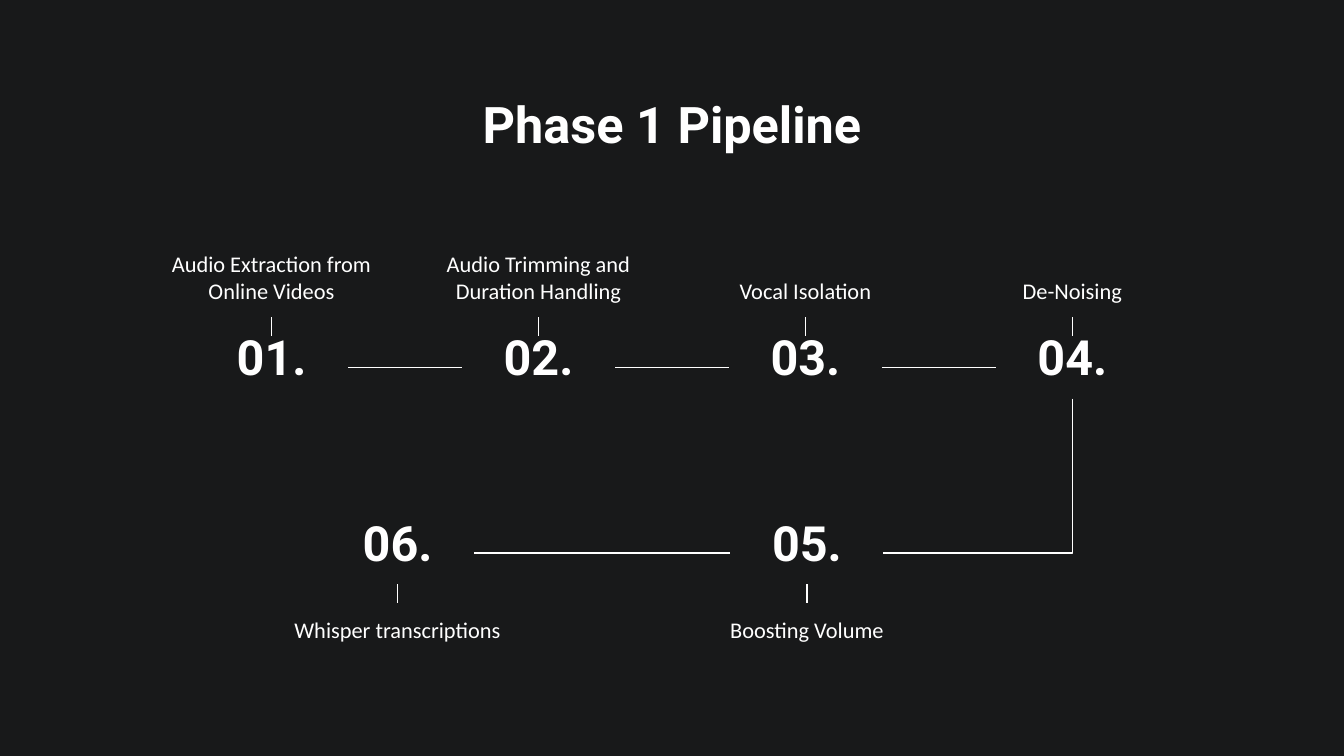
from pptx import Presentation
from pptx.dml.color import RGBColor
from pptx.enum.shapes import MSO_CONNECTOR
from pptx.enum.text import MSO_ANCHOR, PP_ALIGN
from pptx.oxml.ns import qn
from pptx.util import Pt
from lxml import etree

BACKGROUND = RGBColor(0x18, 0x19, 0x1A)
WHITE = RGBColor(0xFF, 0xFF, 0xFF)

NUMBER_WIDTH, NUMBER_HEIGHT = 82, 33.5
LABEL_WIDTH = 133
TICK = 10
TOP_ROW, BOTTOM_ROW = 180, 279.5
FIRST_CENTER, PITCH = 145.5, 143

# Number, label, label height
TOP_STEPS = [
    ("01.", "Audio Extraction from Online Videos", 63.5),
    ("02.", "Audio Trimming and Duration Handling", 41),
    ("03.", "Vocal Isolation", 26.5),
    ("04.", "De-Noising", 26.5),
]
# Center, number, label, label height
BOTTOM_STEPS = [
    (432.3, "05.", "Boosting Volume", 34),
    (213, "06.", "Whisper transcriptions", 63.5),
]


def write(holder, text, font_name, size, bold, anchor):
    frame = holder.text_frame
    frame.word_wrap = True
    frame.vertical_anchor = anchor
    frame.margin_left = frame.margin_right = Pt(7.2)
    frame.margin_top = frame.margin_bottom = Pt(7.2)
    frame.text = text
    paragraph = frame.paragraphs[0]
    paragraph.alignment = PP_ALIGN.CENTER
    font = paragraph.runs[0].font
    font.name, font.size, font.bold = font_name, Pt(size), bold
    font.color.rgb = WHITE


def add_text(slide, box, *style):
    holder = slide.shapes.add_textbox(*map(Pt, box))
    write(holder, *style)


def add_line(slide, x1, y1, x2, y2, kind=MSO_CONNECTOR.STRAIGHT):
    line = slide.shapes.add_connector(kind, Pt(x1), Pt(y1), Pt(x2), Pt(y2))
    line.line.color.rgb = WHITE
    line.line.width = Pt(0.75)
    etree.SubElement(line._element.spPr, qn("a:effectLst"))
    return line


def add_corner(slide, x1, y1, x2, y2):
    """Run down from the start, then left to the end."""
    drop, reach = y2 - y1, x1 - x2
    middle_x, middle_y = (x1 + x2) / 2, (y1 + y2) / 2
    # A quarter turn swaps the width and height of the elbow
    corner = add_line(slide, middle_x - drop / 2, middle_y - reach / 2,
                      middle_x + drop / 2, middle_y + reach / 2,
                      MSO_CONNECTOR.ELBOW)
    properties = corner._element.spPr
    properties.find(qn("a:xfrm")).set("rot", "5400000")
    properties.find(qn("a:prstGeom")).set("prst", "bentConnector2")


def add_title(slide, box):
    title = slide.shapes.title
    title.left, title.top, title.width, title.height = map(Pt, box)
    write(title, "Phase 1 Pipeline", "Roboto", 27, True, MSO_ANCHOR.TOP)


def add_step(slide, box, number, label, label_height, label_above):
    left, top, width, height = box
    center = left + width / 2
    add_text(slide, box, number, "Roboto", 26, True, MSO_ANCHOR.BOTTOM)

    # Tick and label on the outer side of the number
    if label_above:
        edge, tick_end = top, top - TICK
        label_top, anchor = tick_end - label_height, MSO_ANCHOR.BOTTOM
    else:
        edge, tick_end = top + height, top + height + TICK
        label_top, anchor = tick_end, MSO_ANCHOR.TOP
    add_line(slide, center, edge, center, tick_end)
    label_box = (center - LABEL_WIDTH / 2, label_top, LABEL_WIDTH, label_height)
    add_text(slide, label_box, label, "Calibri", 12, False, anchor)


def add_pipeline(slide):
    half = NUMBER_WIDTH / 2
    top_middle = TOP_ROW + NUMBER_HEIGHT / 2
    bottom_middle = BOTTOM_ROW + NUMBER_HEIGHT / 2

    # Upper row, left to right
    for index, step in enumerate(TOP_STEPS):
        center = FIRST_CENTER + index * PITCH
        box = (center - half, TOP_ROW, NUMBER_WIDTH, NUMBER_HEIGHT)
        add_step(slide, box, *step, label_above=True)
        if index:
            add_line(slide, center - PITCH + half, top_middle,
                     center - half, top_middle)

    # Lower row, right to left
    for center, *step in BOTTOM_STEPS:
        box = (center - half, BOTTOM_ROW, NUMBER_WIDTH, NUMBER_HEIGHT)
        add_step(slide, box, *step, label_above=False)

    # Turn from 04 to 05, then on to 06
    last_center = FIRST_CENTER + (len(TOP_STEPS) - 1) * PITCH
    fifth, sixth = (step[0] for step in BOTTOM_STEPS)
    add_corner(slide, last_center, TOP_ROW + NUMBER_HEIGHT,
               fifth + half, bottom_middle)
    add_line(slide, sixth + half, bottom_middle, fifth - half, bottom_middle)


def main():
    presentation = Presentation()
    presentation.slide_width, presentation.slide_height = Pt(720), Pt(405)
    slide = presentation.slides.add_slide(presentation.slide_layouts[5])
    slide.background.fill.solid()
    slide.background.fill.fore_color.rgb = BACKGROUND
    add_title(slide, (56.7, 42.5, 606.6, 45.4))
    add_pipeline(slide)
    presentation.save("out.pptx")


if __name__ == "__main__":
    main()
